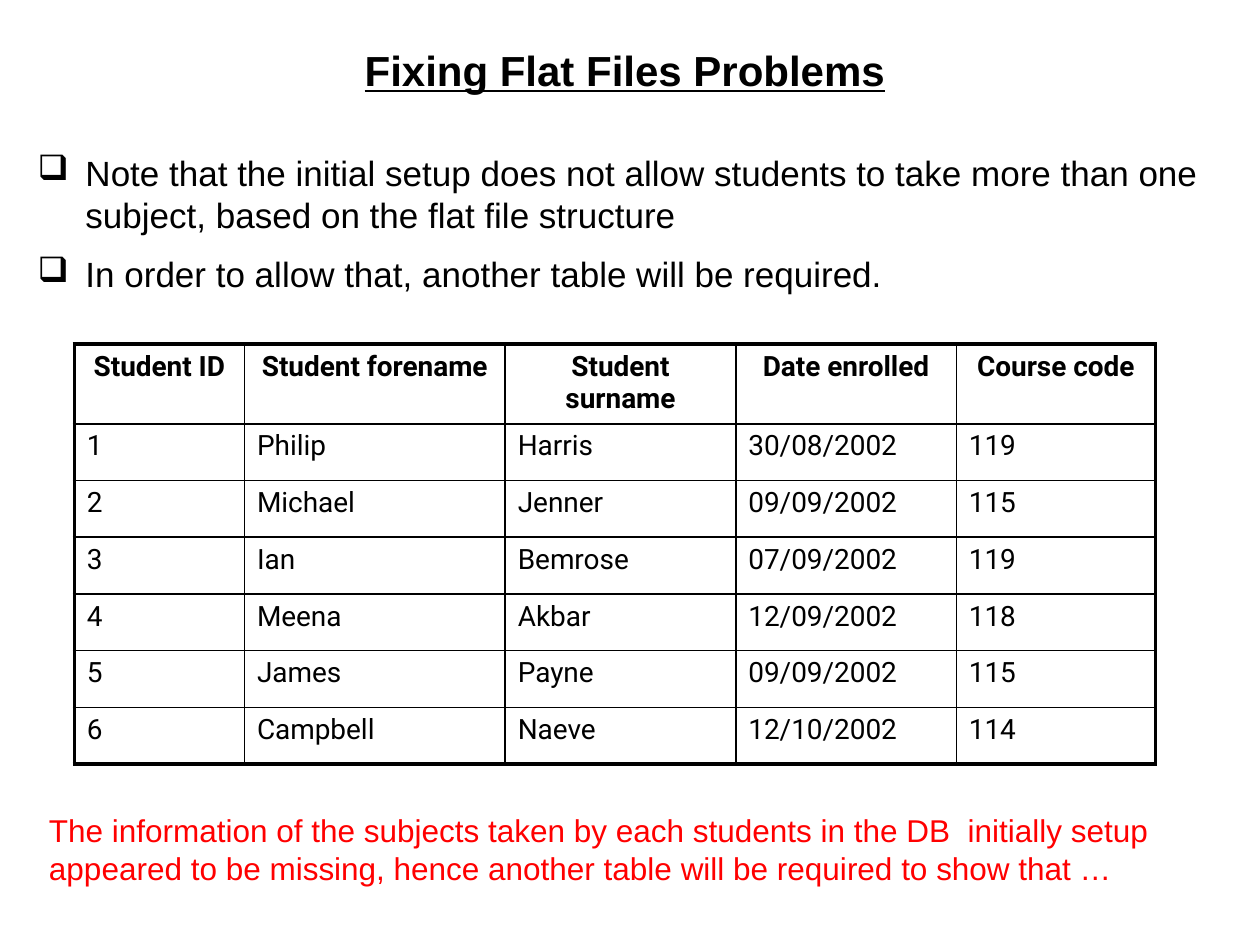
from dataclasses import dataclass

from lxml.etree import SubElement
from pptx import Presentation
from pptx.dml.color import RGBColor
from pptx.enum.text import MSO_ANCHOR, PP_ALIGN
from pptx.oxml.ns import qn
from pptx.util import Inches, Pt


@dataclass(frozen=True)
class Theme:
    ink: str = "000000"
    paper: str = "FFFFFF"
    alert: str = "FF0000"
    text_font: str = "Arial"
    table_font: str = "Roboto"
    title_size: float = 24
    body_size: float = 20
    note_size: float = 18
    table_size: float = 16
    outer_line: float = 2.25
    inner_line: float = 1


THEME = Theme()

POINTS = [
    "Note that the initial setup does not allow students to take more than one "
    "subject, based on the flat file structure",
    "In order to allow that, another table will be required.",
]
STUDENTS = [
    ["Student ID", "Student forename", "Student surname", "Date enrolled", "Course code"],
    ["1", "Philip", "Harris", "30/08/2002", "119"],
    ["2", "Michael", "Jenner", "09/09/2002", "115"],
    ["3", "Ian", "Bemrose", "07/09/2002", "119"],
    ["4", "Meena", "Akbar", "12/09/2002", "118"],
    ["5", "James", "Payne", "09/09/2002", "115"],
    ["6", "Campbell", "Naeve", "12/10/2002", "114"],
]
COLUMN_WIDTHS = [1.35, 2.07, 1.83, 1.75, 1.58]
ROW_HEIGHT = 0.45
NOTE = [
    "The information of the subjects taken by each students in the DB  initially setup",
    "appeared to be missing, hence another table will be required to show that …",
]


def write(para, text, size, color=THEME.ink, name=THEME.text_font, **extra):
    span = para.add_run()
    span.text = text
    formats = {"size": Pt(size), "name": name, **extra}
    for attribute, value in formats.items():
        setattr(span.font, attribute, value)
    span.font.color.rgb = RGBColor.from_string(color)


def add_text(page, place, lines, size, wrap=True, anchor=MSO_ANCHOR.TOP,
             align=PP_ALIGN.LEFT, bullet=None, gap=0, **formats):
    frame = page.shapes.add_textbox(*map(Inches, place)).text_frame
    frame.word_wrap = wrap
    frame.vertical_anchor = anchor
    for index, line in enumerate(lines):
        para = frame.paragraphs[0] if index == 0 else frame.add_paragraph()
        para.alignment = align
        if index and gap:
            para.space_before = Pt(gap)
        if bullet:
            add_bullet(para, bullet)
        write(para, line, size, **formats)


def add_bullet(para, mark, indent=Inches(0.38)):
    properties = para._p.get_or_add_pPr()
    properties.set("marL", str(indent))
    properties.set("indent", str(-indent))
    SubElement(properties, qn("a:buChar"), char=mark)


def set_borders(cell, widths):
    properties = cell._tc.get_or_add_tcPr()
    for side, width in widths.items():
        line = SubElement(properties, qn(f"a:ln{side}"), w=str(Pt(width)))
        fill = SubElement(line, qn("a:solidFill"))
        SubElement(fill, qn("a:srgbClr"), val=THEME.ink)


def add_student_table(page, left, top):
    row_count, column_count = len(STUDENTS), len(COLUMN_WIDTHS)
    table = page.shapes.add_table(
        row_count, column_count, Inches(left), Inches(top),
        Inches(sum(COLUMN_WIDTHS)), Inches(ROW_HEIGHT * row_count)).table
    table.first_row = table.horz_banding = False
    for column, width in zip(table.columns, COLUMN_WIDTHS):
        column.width = Inches(width)
    for row in table.rows:
        row.height = Inches(ROW_HEIGHT)

    for r, values in enumerate(STUDENTS):
        for c, value in enumerate(values):
            cell = table.cell(r, c)
            para = cell.text_frame.paragraphs[0]
            header = r == 0
            para.alignment = PP_ALIGN.CENTER if header else PP_ALIGN.LEFT
            write(para, value, THEME.table_size, name=THEME.table_font, bold=header)
            # Heavy lines only on the outside of the table
            outside = {"L": c == 0, "R": c == column_count - 1,
                       "T": header, "B": r == row_count - 1}
            set_borders(cell, {side: THEME.outer_line if edge else THEME.inner_line
                               for side, edge in outside.items()})
            cell.fill.solid()
            cell.fill.fore_color.rgb = RGBColor.from_string(THEME.paper)


def main():
    deck = Presentation()
    deck.slide_width, deck.slide_height = Inches(10), Inches(7.5)
    page = deck.slides.add_slide(deck.slide_layouts[6])

    # Title
    add_text(page, (0.46, 0.21, 9, 0.69), ["Fixing Flat Files Problems"],
             THEME.title_size, anchor=MSO_ANCHOR.MIDDLE, align=PP_ALIGN.CENTER,
             bold=True, underline=True)
    # Bullet points
    add_text(page, (0.2, 1.15, 9.45, 5.55), POINTS, THEME.body_size,
             bullet="❑", gap=THEME.body_size / 2)
    # Student records
    add_student_table(page, 0.59, 2.73)
    # Closing remark
    add_text(page, (0.29, 6.39, 9.22, 0.71), NOTE, THEME.note_size,
             wrap=False, color=THEME.alert)

    deck.save("out.pptx")


if __name__ == "__main__":
    main()
